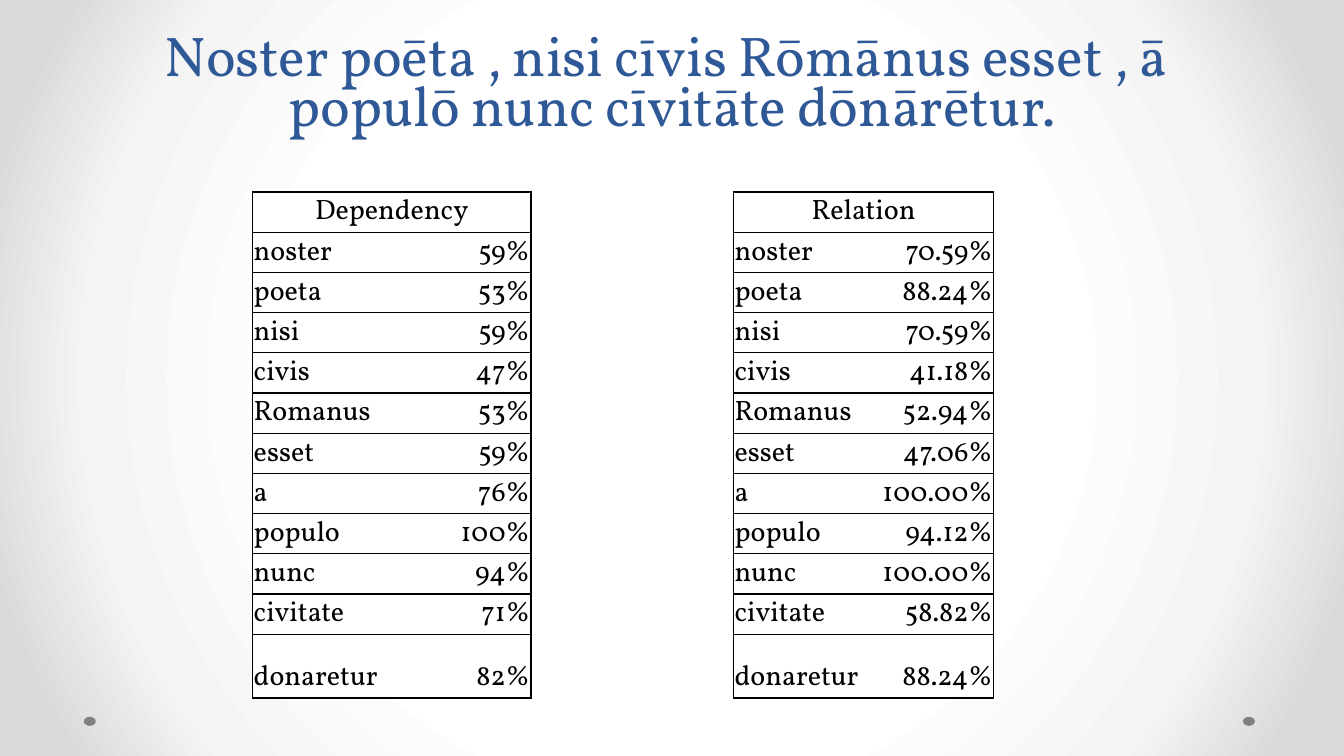
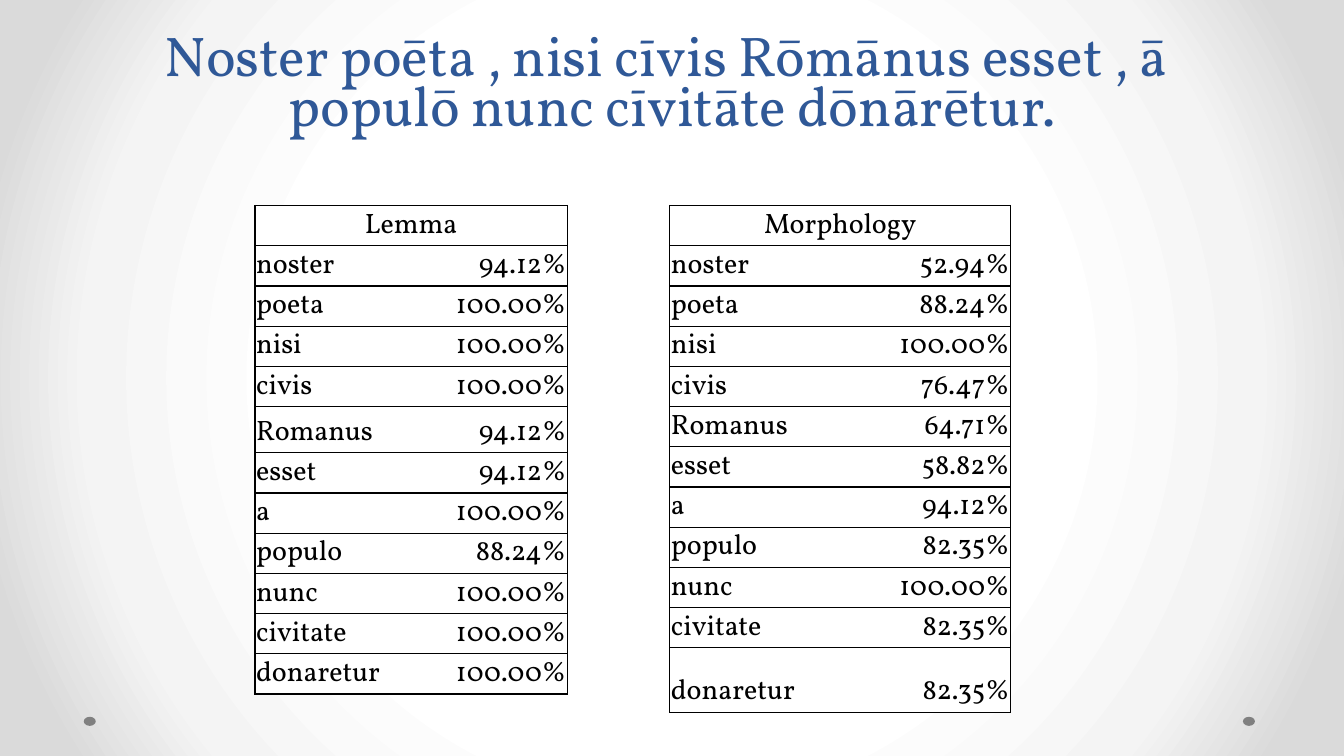
"""Build two slides of tables with agreement percentages per Latin word."""
from dataclasses import dataclass

from pptx import Presentation
from pptx.dml.color import RGBColor
from pptx.enum.shapes import MSO_SHAPE
from pptx.enum.text import MSO_ANCHOR, PP_ALIGN
from pptx.oxml import parse_xml
from pptx.oxml.ns import nsdecls, qn
from pptx.presentation import Presentation as Deck
from pptx.slide import Slide, SlideMaster
from pptx.table import _Cell as Cell
from pptx.util import Pt

BLUE = RGBColor(0x2F, 0x58, 0x97)
BLACK = RGBColor(0, 0, 0)
WHITE = RGBColor(0xFF, 0xFF, 0xFF)
GREY = RGBColor(0x80, 0x80, 0x80)
PALE = RGBColor(0xF4, 0xF4, 0xF4)
SILVER = RGBColor(0xDA, 0xDA, 0xDA)
BACKDROP = ((50, WHITE), (76, PALE), (92, SILVER))
FONT = "Vollkorn"
TITLE = "Noster poēta , nisi cīvis Rōmānus esset , ā \npopulō nunc cīvitāte dōnārētur."
WORDS = "noster poeta nisi civis Romanus esset a populo nunc civitate donaretur".split()
SIDES = ("L", "R", "T", "B")


@dataclass(frozen=True)
class ScoreTable:
    """A two-column table with one taller row; lengths are in points."""

    heading: str
    left: float
    top: float
    width: float
    row_height: float
    tall_word: str
    tall_height: float
    scores: str


SLIDES = (
    (
        ScoreTable("Dependency", 180.5, 137.2, 198.8, 25.2, "donaretur", 45.5,
                   "59% 53% 59% 47% 53% 59% 76% 100% 94% 71% 82%"),
        ScoreTable("Relation", 524, 137.2, 185.8, 25.2, "donaretur", 45.5,
                   "70.59% 88.24% 70.59% 41.18% 52.94% 47.06% 100.00% 94.12% "
                   "100.00% 58.82% 88.24%"),
    ),
    (
        ScoreTable("Lemma", 182.2, 146.8, 223, 26.5, "Romanus", 33,
                   "94.12% 100.00% 100.00% 100.00% 94.12% 94.12% 100.00% 88.24% "
                   "100.00% 100.00% 100.00%"),
        ScoreTable("Morphology", 478.5, 146.8, 243.4, 25.2, "donaretur", 46,
                   "52.94% 88.24% 100.00% 76.47% 64.71% 58.82% 94.12% 82.35% "
                   "100.00% 82.35% 82.35%"),
    ),
)


def set_backdrop(master: SlideMaster) -> None:
    """Give the master a radial gradient."""
    master.background.fill.solid()
    stops = "".join(
        f'<a:gs pos="{pos * 1000}"><a:srgbClr val="{color}"/></a:gs>'
        for pos, color in BACKDROP
    )
    grad = parse_xml(
        f'<a:gradFill {nsdecls("a")} rotWithShape="1"><a:gsLst>{stops}</a:gsLst>'
        '<a:path path="circle"><a:fillToRect l="50000" t="50000" r="50000" b="50000"/>'
        "</a:path></a:gradFill>"
    )
    bg = master.element.find(f".//{qn('p:bgPr')}")
    bg.replace(bg[0], grad)


def add_dots(s: Slide, master: SlideMaster) -> None:
    """Draw the two footer dots and move them to the master."""
    for number, left in enumerate((887.8, 59.8), start=101):
        dot = s.shapes.add_shape(MSO_SHAPE.OVAL, Pt(left), Pt(512), Pt(8.6), Pt(6.5))
        dot.shadow.inherit = False
        dot.fill.solid()
        dot.fill.fore_color.rgb = GREY
        dot.line.fill.background()
        dot.element.nvSpPr.cNvPr.id = number
        master.shapes.element.append(dot.element)


def add_title(s: Slide) -> None:
    """Fill and place the title."""
    sp = s.shapes.title
    sp.left, sp.top, sp.width, sp.height = Pt(48), Pt(0), Pt(864), Pt(102)
    tf = sp.text_frame
    tf.vertical_anchor = MSO_ANCHOR.BOTTOM
    p = tf.paragraphs[0]
    p.text = TITLE.replace("\n", "\v")
    p.alignment = PP_ALIGN.CENTER
    p.line_spacing = Pt(36)
    for r in p.runs:
        r.font.name, r.font.size = FONT, Pt(40)
        r.font.color.rgb = BLUE


def set_borders(cell: Cell, visible: str) -> None:
    """Draw the named sides in black and clear the others."""
    paint = f'<a:solidFill><a:srgbClr val="{BLACK}"/></a:solidFill>'
    for side in SIDES:
        fill = paint if side in visible else "<a:noFill/>"
        cell._tc.get_or_add_tcPr().append(
            parse_xml(f'<a:ln{side} {nsdecls("a")} w="{Pt(1)}">{fill}</a:ln{side}>')
        )


def fill_cell(cell: Cell, text: str, align: PP_ALIGN, visible: str) -> None:
    """Write and format one cell."""
    set_borders(cell, visible)
    cell.fill.solid()
    cell.fill.fore_color.rgb = WHITE
    cell.vertical_anchor = MSO_ANCHOR.BOTTOM
    cell.margin_left = cell.margin_right = cell.margin_top = Pt(0.75)
    cell.margin_bottom = Pt(0)
    p = cell.text_frame.paragraphs[0]
    p.text = text
    p.alignment = align
    for r in p.runs:
        r.font.name, r.font.size = FONT, Pt(20)
        r.font.color.rgb = BLACK


def add_score_table(s: Slide, spec: ScoreTable) -> None:
    """Add one table of words and scores."""
    heights = [spec.row_height] + [
        spec.tall_height if word == spec.tall_word else spec.row_height for word in WORDS
    ]
    table = s.shapes.add_table(
        len(heights), 2, Pt(spec.left), Pt(spec.top), Pt(spec.width), Pt(sum(heights))
    ).table
    table.first_row = table.horz_banding = False
    for row, height in zip(table.rows, heights):
        row.height = Pt(height)
    table.cell(0, 0).merge(table.cell(0, 1))
    fill_cell(table.cell(0, 0), spec.heading, PP_ALIGN.CENTER, "LRTB")
    set_borders(table.cell(0, 1), "RTB")
    for i, (word, score) in enumerate(zip(WORDS, spec.scores.split()), start=1):
        fill_cell(table.cell(i, 0), word, PP_ALIGN.LEFT, "LTB")
        fill_cell(table.cell(i, 1), score, PP_ALIGN.RIGHT, "RTB")


def build(prs: Deck) -> None:
    """Set up the master and add every slide."""
    prs.slide_width, prs.slide_height = Pt(960), Pt(540)
    set_backdrop(prs.slide_master)
    for specs in SLIDES:
        s = prs.slides.add_slide(prs.slide_layouts[5])
        add_title(s)
        for spec in specs:
            add_score_table(s, spec)
    add_dots(prs.slides[0], prs.slide_master)


def main() -> None:
    """Build and save the deck."""
    prs = Presentation()
    build(prs)
    prs.save("out.pptx")


if __name__ == "__main__":
    main()
